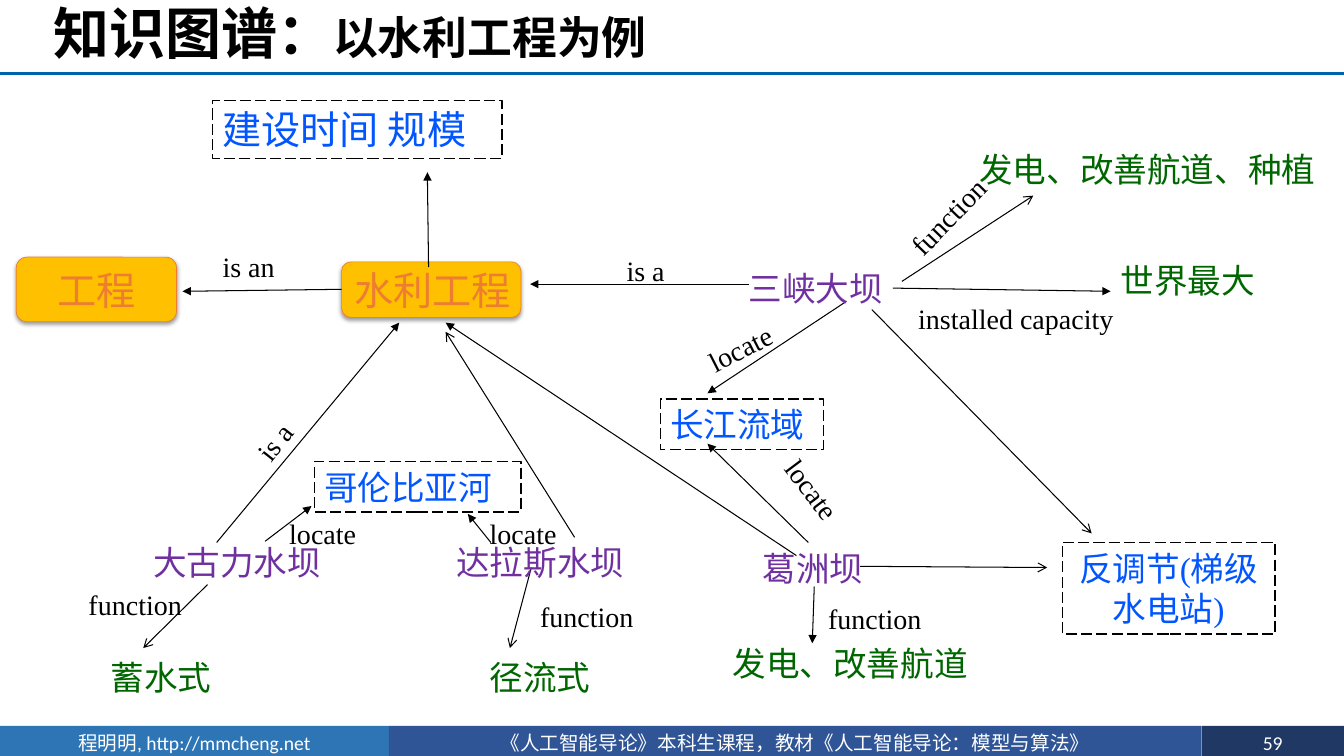
"""Build the knowledge graph slide on hydraulic projects."""
from lxml import etree
from pptx import Presentation
from pptx import util as u
from pptx.dml.color import RGBColor
from pptx.enum import dml, shapes, text
from pptx.oxml.ns import qn

HUES = {"black": "000000", "white": "FFFFFF", "rule": "0062AC",
        "left": "2E75B6", "mid": "2F5597", "right": "203864",
        "dam": "7030A0", "fact": "006600", "area": "0156FF",
        "gold": "FFC000", "rust": "ED7D31"}
CJK, SERIF, SANS = "Noto Sans CJK SC", "Times New Roman", "Calibri"
WIDE, HIGH, BASE = 33.87, 19.05, 18.29

TITLE = [("知识图谱：", 40), ("以水利工程为例", 32)]
FOOT = [("程明明, http://mmcheng.net", 9.8, "left"),
        ("《人工智能导论》本科生课程，教材《人工智能导论：模型与算法》", 20.48, "mid"),
        ("59", 3.59, "right")]
DAMS = [("三峡大坝", 18.62, 6.63, 5.41), ("葛洲坝", 18.97, 13.67, 5.41),
        ("大古力水坝", 3.61, 13.54, 5.41), ("达拉斯水坝", 11.25, 13.54, 5.41)]
FACTS = [("发电、改善航道、种植", 24.43, 3.63, 9.12), ("世界最大", 27.99, 6.43, 5.41),
         ("发电、改善航道", 18.21, 16.08, 6.88),
         ("蓄水式", 2.54, 16.43, 3.48), ("径流式", 12.09, 16.43, 3.48)]
AREAS = [("建设时间 规模", 5.36, 2.54, 7.29, 1.45, 28, "LEFT"),
         ("长江流域", 16.64, 10.06, 4.11, 1.27, 24, "LEFT"),
         ("哥伦比亚河", 7.92, 11.63, 5.21, 1.27, 24, "LEFT"),
         ("反调节(梯级水电站)", 26.77, 13.67, 5.36, 2.31, 24, "CENTER")]
TYPES = [("工程", 0.41, 6.48, 4.04, 1.63, "CENTER"),
         ("水利工程", 8.61, 6.6, 4.52, 1.4, "LEFT")]
LABELS = [("is an", 5.36, 6.17, 5.41, 0), ("is a", 15.54, 6.27, 5.41, 0),
          ("is a", 5.59, 9.35, 4.62, 308.4),
          ("function", 22.23, 4.34, 4.42, 314.2),
          ("function", 20.62, 15.04, 3.28, 0),
          ("function", 1.98, 14.68, 3.28, 0),
          ("function", 13.36, 14.99, 3.28, 0),
          ("locate", 19.33, 11.86, 2.39, 53.1),
          ("locate", 17.55, 8.18, 2.39, 332.9),
          ("locate", 7.04, 12.88, 3.2, 0), ("locate", 12.09, 12.88, 3.2, 0),
          ("installed capacity", 22.89, 7.47, 5.54, 0)]
LINKS = {
    "triangle": [(8.61, 7.29, 4.6, 7.34), (18.87, 7.16, 13.36, 7.16),
                 (22.5, 7.26, 27.99, 7.34), (10.8, 6.73, 10.77, 4.34),
                 (5.46, 13.67, 10.06, 8.13), (20.07, 14, 11.23, 8.13),
                 (20.37, 13.67, 17.83, 11.18), (21.29, 7.62, 17.83, 9.91),
                 (20.52, 14.78, 20.47, 16.21), (6.68, 13.64, 7.85, 12.75),
                 (12.37, 13.67, 11.79, 12.95)],
    "arrow": [(21.67, 14.27, 26.39, 14.3), (21.97, 7.8, 27.51, 13.44),
              (22.73, 7.09, 26.04, 4.93), (5.23, 14.73, 3.61, 16.33),
              (14.48, 13.54, 11.23, 8.36), (13.39, 14.3, 12.85, 16.33)]}


def hue(name):
    return RGBColor.from_string(HUES[name])


def cms(*nums):
    return [u.Cm(n) for n in nums]


def add_run(para, words, size, tint, face, bold=False):
    run = para.add_run()
    run.text = words
    font = run.font
    font.name, font.size, font.bold = face, u.Pt(size), bold
    font.color.rgb = hue(tint)
    etree.SubElement(run._r.get_or_add_rPr(), qn("a:ea"), typeface=CJK)


def write(shape, words, size, tint, face=SERIF, align="LEFT", wrap=True):
    frame = shape.text_frame
    frame.word_wrap = wrap
    frame.vertical_anchor = text.MSO_ANCHOR.TOP
    para = frame.paragraphs[0]
    para.alignment = getattr(text.PP_ALIGN, align)
    add_run(para, words, size, tint, face)
    return frame


def add_label(slide, words, x, y, w, size, tint, turn=0):
    tall = 1.27 if size == 24 else 1.12
    box = slide.shapes.add_textbox(*cms(x, y, w, tall))
    box.rotation = turn
    write(box, words, size, tint)


def add_box(slide, kind, place, fill=None, line=None, width=1):
    box = slide.shapes.add_shape(kind, *cms(*place))
    box.shadow.inherit = False
    if fill:
        box.fill.solid()
        box.fill.fore_color.rgb = hue(fill)
    else:
        box.fill.background()
    if line:
        box.line.color.rgb = hue(line)
        box.line.width = u.Pt(width)
    else:
        box.line.fill.background()
    return box


def add_link(slide, ends, tint, width, head=None):
    link = slide.shapes.add_connector(shapes.MSO_CONNECTOR.STRAIGHT, *cms(*ends))
    link.line.color.rgb = hue(tint)
    link.line.width = u.Pt(width)
    if head:
        etree.SubElement(link.line._get_or_add_ln(), qn("a:tailEnd"), type=head)
    etree.SubElement(link._element.spPr, qn("a:effectLst"))


def add_shade(box):
    glow = etree.SubElement(box._element.spPr.find(qn("a:effectLst")),
                            qn("a:outerShdw"), blurRad=str(u.Pt(3.1)),
                            dist=str(u.Pt(1.6)), dir="5400000", rotWithShape="0")
    tint = etree.SubElement(glow, qn("a:srgbClr"), val=HUES["black"])
    etree.SubElement(tint, qn("a:alpha"), val="38000")


def add_title(slide):
    title = slide.shapes.title
    title.left, title.top, title.width, title.height = cms(1.09, 0, 32.77, 1.85)
    frame = title.text_frame
    frame.auto_size = text.MSO_AUTO_SIZE.NONE
    frame.vertical_anchor = text.MSO_ANCHOR.MIDDLE
    para = frame.paragraphs[0]
    para.alignment = text.PP_ALIGN.LEFT
    para.line_spacing = 0.9
    for words, size in TITLE:
        add_run(para, words, size, "black", CJK, True)


def main():
    deck = Presentation()
    deck.slide_width, deck.slide_height = cms(WIDE, HIGH)
    slide = deck.slides.add_slide(deck.slide_layouts[5])
    rect = shapes.MSO_SHAPE.RECTANGLE
    add_title(slide)
    add_link(slide, (0, 1.85, WIDE, 1.85), "rule", 2)

    x = 0
    for words, w, fill in FOOT:
        bar = add_box(slide, rect, (x, BASE, w, 0.86), fill)
        write(bar, words, 14, "white", SANS, "CENTER")
        x += w

    for words, x, y, w, h, align in TYPES:
        box = add_box(slide, shapes.MSO_SHAPE.ROUNDED_RECTANGLE, (x, y, w, h),
                      "gold", "rust", 0.5)
        add_shade(box)
        frame = write(box, words, 28, "rust", align=align, wrap=False)
        frame.vertical_anchor = text.MSO_ANCHOR.MIDDLE
        frame.margin_top = frame.margin_bottom = 0

    for head, links in LINKS.items():
        for ends in links:
            add_link(slide, ends, "black", 0.75, head)

    for words, x, y, w, h, size, align in AREAS:
        box = add_box(slide, rect, (x, y, w, h), None, "black")
        box.line.dash_style = dml.MSO_LINE.LONG_DASH
        write(box, words, size, "area", align=align)

    for tint, group in (("dam", DAMS), ("fact", FACTS)):
        for words, x, y, w in group:
            add_label(slide, words, x, y, w, 24, tint)
    for words, x, y, w, turn in LABELS:
        add_label(slide, words, x, y, w, 20, "black", turn)

    deck.save("out.pptx")


if __name__ == "__main__":
    main()
